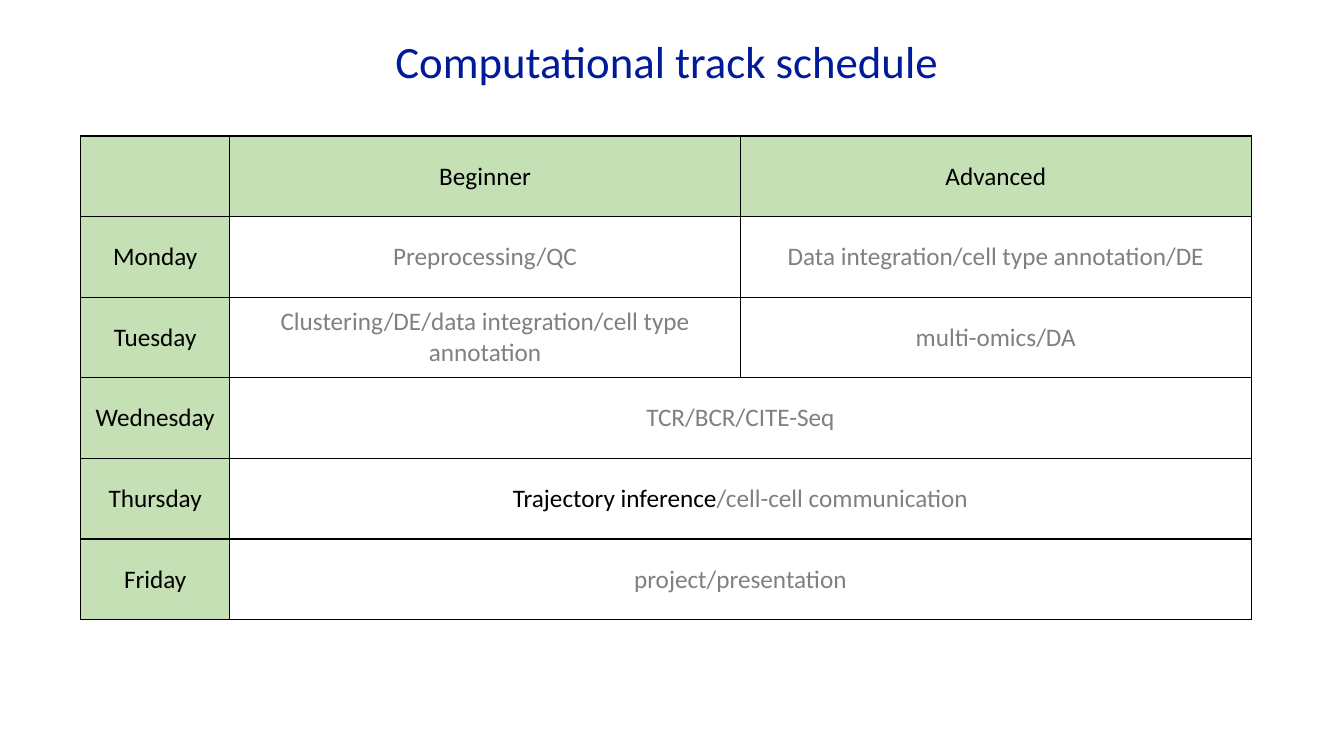
import pptx
import pptx.dml.color
import pptx.enum.text
import pptx.oxml
import pptx.oxml.ns
import pptx.util
from pptx.util import Inches

FONT = "Calibri"
BLACK, GREY, GREEN, NAVY = "000000", "808080", "C5E0B4", "011A99"
COLUMN_SHARES = (1.48, 5.07, 5.07)
# A row with a single session spans both tracks.
SCHEDULE = [
    ("", "Beginner", "Advanced"),
    ("Monday", "Preprocessing/QC", "Data integration/cell type annotation/DE"),
    ("Tuesday", "Clustering/DE/data integration/cell type annotation", "multi-omics/DA"),
    ("Wednesday", "TCR/BCR/CITE-Seq"),
    ("Thursday", "Trajectory inference/cell-cell communication"),
    ("Friday", "project/presentation"),
]
CURRENT_SESSION = "Trajectory inference"


def color(hex_string):
    return pptx.dml.color.RGBColor.from_string(hex_string)


def write_centered(frame, spans, size):
    """Fill the first paragraph with (text, colour) spans."""
    para = frame.paragraphs[0]
    para.alignment = pptx.enum.text.PP_ALIGN.CENTER
    for text, hex_string in spans:
        span = para.add_run()
        span.text = text
        span.font.name = FONT
        span.font.size = pptx.util.Pt(size)
        span.font.color.rgb = color(hex_string)


def add_title(page, left, top, width, height):
    box = page.shapes.add_textbox(Inches(left), Inches(top), Inches(width), Inches(height))
    frame = box.text_frame
    frame.word_wrap = True
    frame.vertical_anchor = pptx.enum.text.MSO_ANCHOR.MIDDLE
    write_centered(frame, [("Computational track schedule ", NAVY)], 32)


def add_borders(cell):
    properties = cell._tc.get_or_add_tcPr()
    for side in ("lnL", "lnR", "lnT", "lnB"):
        properties.append(pptx.oxml.parse_xml(
            f'<a:{side} {pptx.oxml.ns.nsdecls("a")} w="{pptx.util.Pt(1)}">'
            f'<a:solidFill><a:srgbClr val="{BLACK}"/></a:solidFill></a:{side}>'))


def style_cell(cell, is_heading):
    add_borders(cell)
    if is_heading:
        cell.fill.solid()
        cell.fill.fore_color.rgb = color(GREEN)
    else:
        cell.fill.background()
    cell.margin_left = cell.margin_right = Inches(0.03)
    cell.margin_top = cell.margin_bottom = Inches(0.02)
    cell.vertical_anchor = pptx.enum.text.MSO_ANCHOR.MIDDLE


def session_spans(text):
    """Grey text, with the current session picked out in black."""
    if text.startswith(CURRENT_SESSION):
        return [(CURRENT_SESSION, BLACK), (text.removeprefix(CURRENT_SESSION), GREY)]
    return [(text, GREY)]


def add_schedule(page, left, top, width, height):
    rows, columns = len(SCHEDULE), len(COLUMN_SHARES)
    table = page.shapes.add_table(
        rows, columns, Inches(left), Inches(top), Inches(width), Inches(height)).table
    for column, share in zip(table.columns, COLUMN_SHARES):
        column.width = Inches(width * share / sum(COLUMN_SHARES))
    for row_index, entries in enumerate(SCHEDULE):
        table.rows[row_index].height = Inches(height / rows)
        for column_index in range(columns):
            cell = table.cell(row_index, column_index)
            is_heading = row_index == 0 or column_index == 0
            style_cell(cell, is_heading)
            if column_index < len(entries) and entries[column_index]:
                text = entries[column_index]
                spans = [(text, BLACK)] if is_heading else session_spans(text)
                write_centered(cell.text_frame, spans, 18)
        if len(entries) < columns:
            table.cell(row_index, 1).merge(table.cell(row_index, columns - 1))


def main():
    deck = pptx.Presentation()
    deck.slide_width, deck.slide_height = Inches(13.33), Inches(7.5)
    page = deck.slides.add_slide(deck.slide_layouts[6])
    add_title(page, 0, 0, 13.33, 1.2)
    add_schedule(page, 0.8, 1.35, 11.61, 4.8)
    deck.save("out.pptx")


if __name__ == "__main__":
    main()
